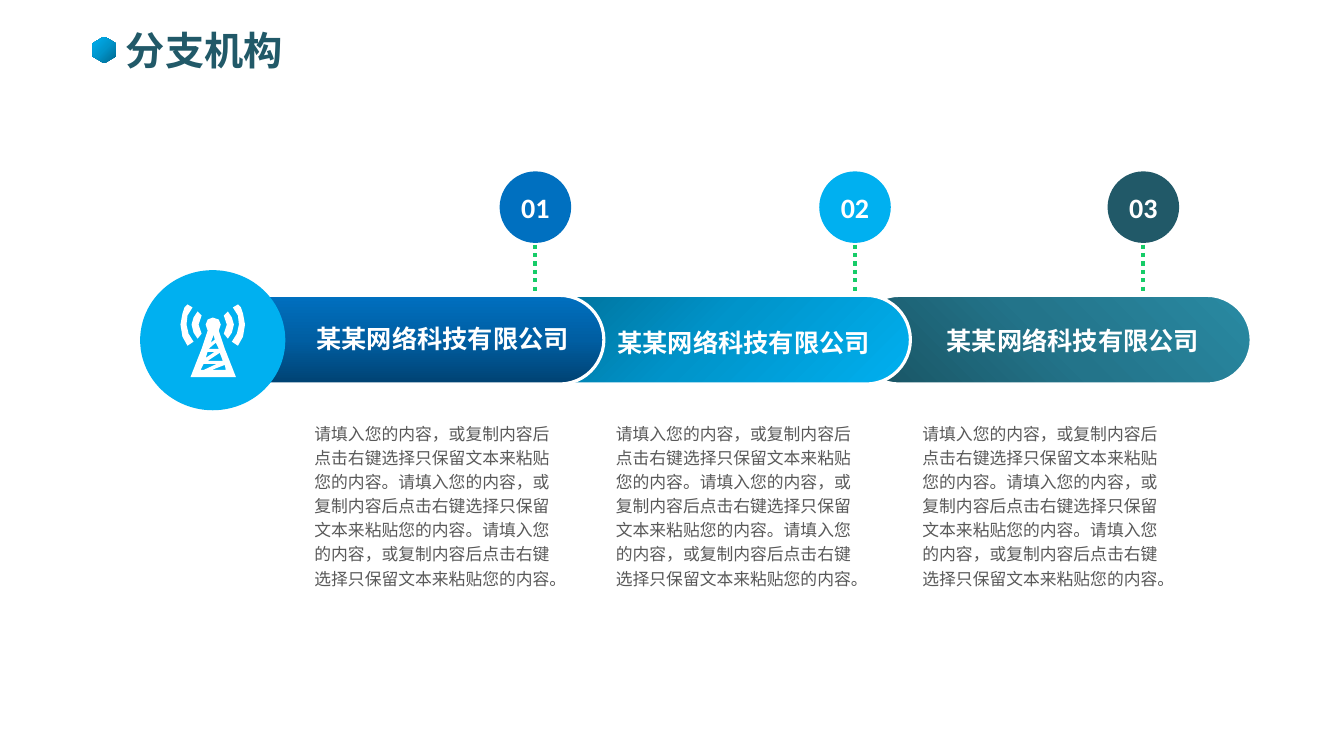
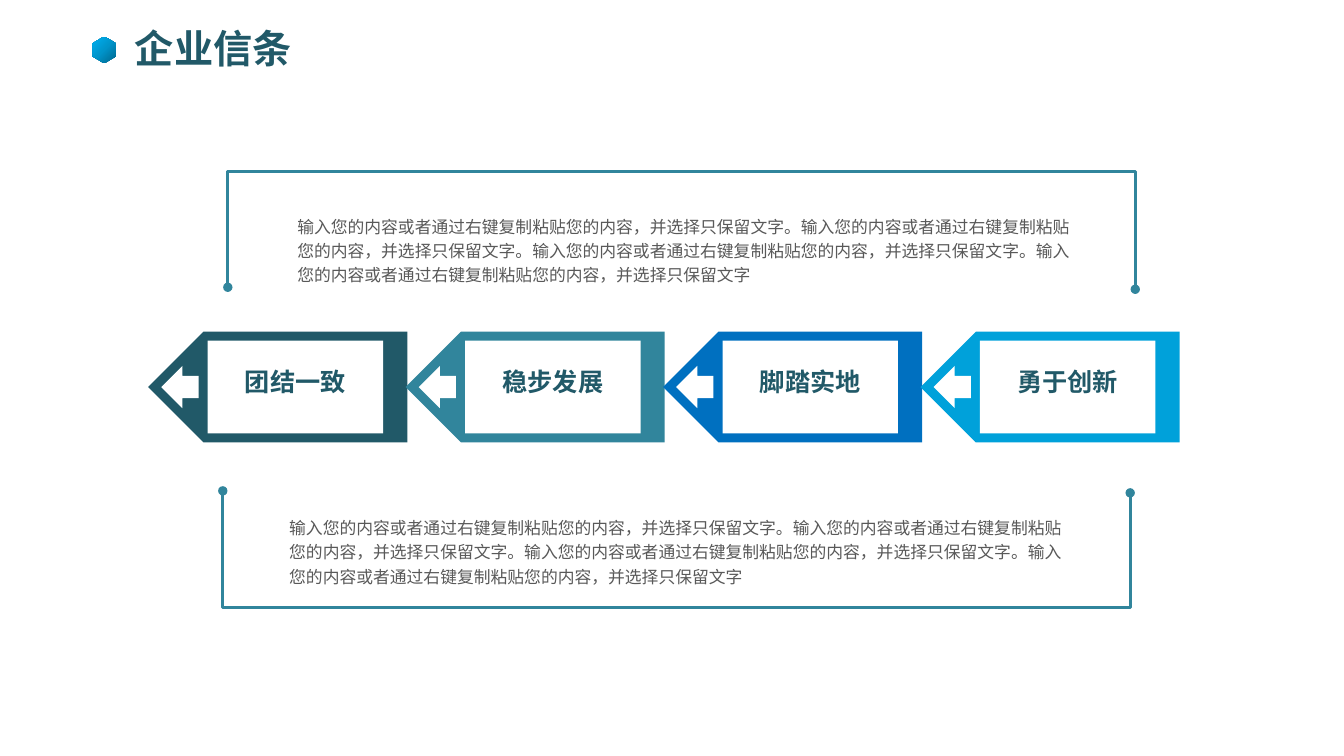
from copy import deepcopy
from dataclasses import dataclass

from lxml import etree
from pptx import Presentation
from pptx.dml.color import RGBColor
from pptx.enum import dml, shapes, text
from pptx.oxml.ns import qn
from pptx.util import Inches, Pt


@dataclass(frozen=True)
class Theme:
    dark: str = "215968"
    teal: str = "31859C"
    blue: str = "0070C0"
    sky: str = "00B0F0"
    cyan: str = "00A1DA"
    green: str = "16CC68"
    grey: str = "595959"
    white: str = "FFFFFF"
    sky_gradient: tuple = ("00688E", "0094CA", "00B0F0")
    blue_gradient: tuple = ("004272", "005EA2", "0070C0")
    teal_gradient: tuple = ("185261", "23748A", "298AA3")
    cjk_font: str = "Noto Sans CJK SC"
    number_font: str = "Calibri"
    body_font: str = "Arial"
    title_size: int = 28
    number_size: int = 20
    label_size: int = 18
    body_size: int = 12


THEME = Theme()
OVAL = shapes.MSO_SHAPE.OVAL
PILL = shapes.MSO_SHAPE.ROUNDED_RECTANGLE
RECTANGLE = shapes.MSO_SHAPE.RECTANGLE

BRANCH_TEXT = "请填入您的内容，或复制内容后点击右键选择只保留文本来粘贴您的内容。" * 3
CREED_TEXT = "。".join(["输入您的内容或者通过右键复制粘贴您的内容，并选择只保留文字"] * 4)

HEXAGON = [(0.92, 0.43), (1.02, 0.37), (1.05, 0.37), (1.15, 0.43),
           (1.15, 0.56), (1.05, 0.62), (1.02, 0.62), (0.92, 0.56)]

TOWER_AXIS = 2.11
TOWER = [
    [(2.11, 3.15), (2.17, 3.17), (2.19, 3.22), (2.17, 3.28), (2.23, 3.46), (2.34, 3.74),
     (1.89, 3.74), (2, 3.46), (2.06, 3.28), (2.04, 3.22), (2.06, 3.17)],
    [(2.13, 3.37), (2.12, 3.32), (2.09, 3.4)],
    [(2.14, 3.4), (2.07, 3.46), (2.17, 3.46)],
    [(2.18, 3.5), (2.06, 3.58), (2.21, 3.58)],
    [(2.23, 3.62), (2.1, 3.67), (2.24, 3.67)],
    [(2.02, 3.67), (2.15, 3.61), (2.02, 3.61), (1.99, 3.67)],
    [(2.04, 3.55), (2.13, 3.49), (2.06, 3.49)],
]
WAVES = [
    [(2.36, 3.02), (2.31, 3.05), (2.36, 3.13), (2.37, 3.22), (2.35, 3.31), (2.3, 3.39),
     (2.36, 3.43), (2.41, 3.34), (2.43, 3.22), (2.41, 3.11), (2.39, 3.05)],
    [(2.26, 3.09), (2.22, 3.13), (2.25, 3.22), (2.22, 3.31), (2.26, 3.36),
     (2.3, 3.3), (2.32, 3.22), (2.3, 3.15)],
]


def rgb(colour):
    return RGBColor.from_string(colour)


def paint(shape, fill=None, line=None, line_width=2.25, angle=0):
    """Fill with a colour, or with a tuple of three as a gradient at a counterclockwise angle."""
    shape.shadow.inherit = False
    if fill is None:
        shape.fill.background()
    elif isinstance(fill, tuple):
        shape.fill.gradient()
        shape.fill.gradient_angle = angle
        stop_list = shape._element.spPr.find(".//" + qn("a:gsLst"))
        stop_list.insert(1, deepcopy(stop_list[0]))
        for stop, colour, position in zip(shape.fill.gradient_stops, fill, (0, 0.5, 1)):
            stop.color.rgb = rgb(colour)
            stop.position = position
    else:
        shape.fill.solid()
        shape.fill.fore_color.rgb = rgb(fill)
    if line is None:
        shape.line.fill.background()
    else:
        shape.line.color.rgb = rgb(line)
        shape.line.width = Pt(line_width)


def write(shape, words, size, colour, font=THEME.cjk_font, bold=False, centred=False,
          middle=False, spacing=None):
    frame = shape.text_frame
    frame.word_wrap = True
    frame.vertical_anchor = text.MSO_ANCHOR.MIDDLE if middle else text.MSO_ANCHOR.TOP
    frame.text = words
    paragraph = frame.paragraphs[0]
    paragraph.alignment = text.PP_ALIGN.CENTER if centred else text.PP_ALIGN.LEFT
    if spacing:
        paragraph.line_spacing = spacing
    run = paragraph.runs[0]
    run.font.size = Pt(size)
    run.font.bold = bold
    run.font.color.rgb = rgb(colour)
    run.font.name = font
    if font == THEME.cjk_font:
        etree.SubElement(run._r.get_or_add_rPr(), qn("a:ea")).set("typeface", font)


def add_text(slide, box, words, size, colour, **style):
    shape = slide.shapes.add_textbox(*map(Inches, box))
    write(shape, words, size, colour, **style)
    return shape


def add_preset(slide, kind, box, **look):
    shape = slide.shapes.add_shape(kind, *map(Inches, box))
    paint(shape, **look)
    return shape


def add_outline(slide, outlines, closed=True, **look):
    """Draw one freeform from lists of points in inches; inner outlines become holes."""
    builder = None
    for outline in outlines:
        start, *rest = [(Inches(x), Inches(y)) for x, y in outline]
        if builder is None:
            builder = slide.shapes.build_freeform(*start)
        else:
            builder.move_to(*start)
        builder.add_line_segments(rest, close=closed)
    shape = builder.convert_to_shape()
    paint(shape, **look)
    return shape


def add_title(slide, left, top, words):
    add_text(slide, (left, top, 2.91, 0.57), words, THEME.title_size, THEME.dark, bold=True)
    add_outline(slide, [HEXAGON], fill=THEME.sky_gradient, angle=135)


def add_body(slide, box, words, font=THEME.cjk_font):
    add_text(slide, box, words, THEME.body_size, THEME.grey, font=font, spacing=1.2)


def add_number(slide, centre, words, colour):
    """Numbered disc on a dotted stem."""
    stem = slide.shapes.add_connector(shapes.MSO_CONNECTOR.STRAIGHT, Inches(centre),
                                      Inches(2.26), Inches(centre), Inches(2.93))
    stem.line.color.rgb = rgb(THEME.green)
    stem.line.width = Pt(3)
    stem.line.dash_style = dml.MSO_LINE.ROUND_DOT
    etree.SubElement(stem._element.spPr, qn("a:effectLst"))
    disc = add_preset(slide, OVAL, (centre - 0.355, 1.7, 0.71, 0.71), fill=colour)
    write(disc, words, THEME.number_size, THEME.white, font=THEME.number_font,
          bold=True, centred=True, middle=True)


def add_pill(slide, left, width, gradient, angle):
    pill = add_preset(slide, PILL, (left, 2.93, width, 0.88), fill=gradient,
                      angle=angle, line=THEME.white)
    pill.adjustments[0] = 0.5


def add_tower(slide):
    add_preset(slide, OVAL, (1.39, 2.68, 1.44, 1.39), fill=THEME.sky)
    mirrored = [[(2 * TOWER_AXIS - x, y) for x, y in wave] for wave in WAVES]
    add_outline(slide, TOWER + WAVES + mirrored, fill=THEME.white)


def add_bracket(slide, points):
    """Open line with a dot at each end."""
    bracket = add_outline(slide, [points], closed=False, line=THEME.teal)
    line = bracket.line._get_or_add_ln()
    for end in ("a:headEnd", "a:tailEnd"):
        etree.SubElement(line, qn(end)).set("type", "oval")


def add_creed(slide, left, words, colour):
    """Left-pointing tag with a white panel, a small arrow and a label."""
    def place(points):
        return [[(left + x, y) for x, y in points]]

    add_outline(slide, place([(0.55, 3.29), (2.57, 3.29), (2.57, 4.39), (0.55, 4.39),
                              (0, 3.84)]), fill=colour)
    add_preset(slide, RECTANGLE, (left + 0.59, 3.38, 1.74, 0.92), fill=THEME.white)
    add_outline(slide, place([(0.34, 3.63), (0.34, 3.73), (0.5, 3.73), (0.5, 3.95),
                              (0.34, 3.95), (0.34, 4.05), (0.13, 3.84)]), fill=THEME.white)
    label = add_text(slide, (left + 0.59, 3.59, 1.74, 0.38), words, THEME.label_size,
                     THEME.dark, bold=True, centred=True)
    frame = label.text_frame
    frame.margin_left = frame.margin_right = Inches(0.07)
    frame.margin_top = frame.margin_bottom = Inches(0.04)


def build_branches(slide):
    add_title(slide, 1.15, 0.21, "分支机构")
    numbers = [(5.31, THEME.blue), (8.48, THEME.sky), (11.34, THEME.dark)]
    for index, (centre, colour) in enumerate(numbers, 1):
        add_number(slide, centre, f"{index:02}", colour)

    # Right to left, so that each pill overlaps the next one
    pills = [
        (8.48, 3.93, THEME.teal_gradient, 45, (9.13, 3.18, 3.02, 0.4)),
        (4.96, 4.07, THEME.sky_gradient, 315, (5.88, 3.2, 2.99, 0.4)),
        (1.53, 4.46, THEME.blue_gradient, 90, (3.02, 3.16, 2.74, 0.4)),
    ]
    for left, width, gradient, angle, label_box in pills:
        add_pill(slide, left, width, gradient, angle)
        add_text(slide, label_box, "某某网络科技有限公司", THEME.label_size, THEME.white,
                 bold=True, centred=True, middle=True)
    add_tower(slide)
    for left in (3.02, 6.01, 9.05):
        add_body(slide, (left, 4.11, 2.65, 2.02), BRANCH_TEXT)


def build_creed(slide):
    add_title(slide, 1.24, 0.19, "企业信条")
    add_bracket(slide, [(2.26, 2.85), (2.26, 1.7), (11.26, 1.7), (11.26, 2.87)])
    add_bracket(slide, [(11.21, 4.89), (11.21, 6.03), (2.21, 6.03), (2.21, 4.87)])
    for left, top in ((2.85, 2.06), (2.77, 5.05)):
        add_body(slide, (left, top, 7.91, 0.83), CREED_TEXT, font=THEME.body_font)

    creeds = [("团结一致", THEME.dark), ("稳步发展", THEME.teal),
              ("脚踏实地", THEME.blue), ("勇于创新", THEME.cyan)]
    first, last = 1.47, 9.13
    pitch = (last - first) / (len(creeds) - 1)
    for index, (words, colour) in enumerate(creeds):
        add_creed(slide, first + index * pitch, words, colour)


def main():
    presentation = Presentation()
    presentation.slide_width = Inches(13.33)
    presentation.slide_height = Inches(7.5)
    for build in (build_branches, build_creed):
        build(presentation.slides.add_slide(presentation.slide_layouts[6]))
    presentation.save("out.pptx")


if __name__ == "__main__":
    main()
